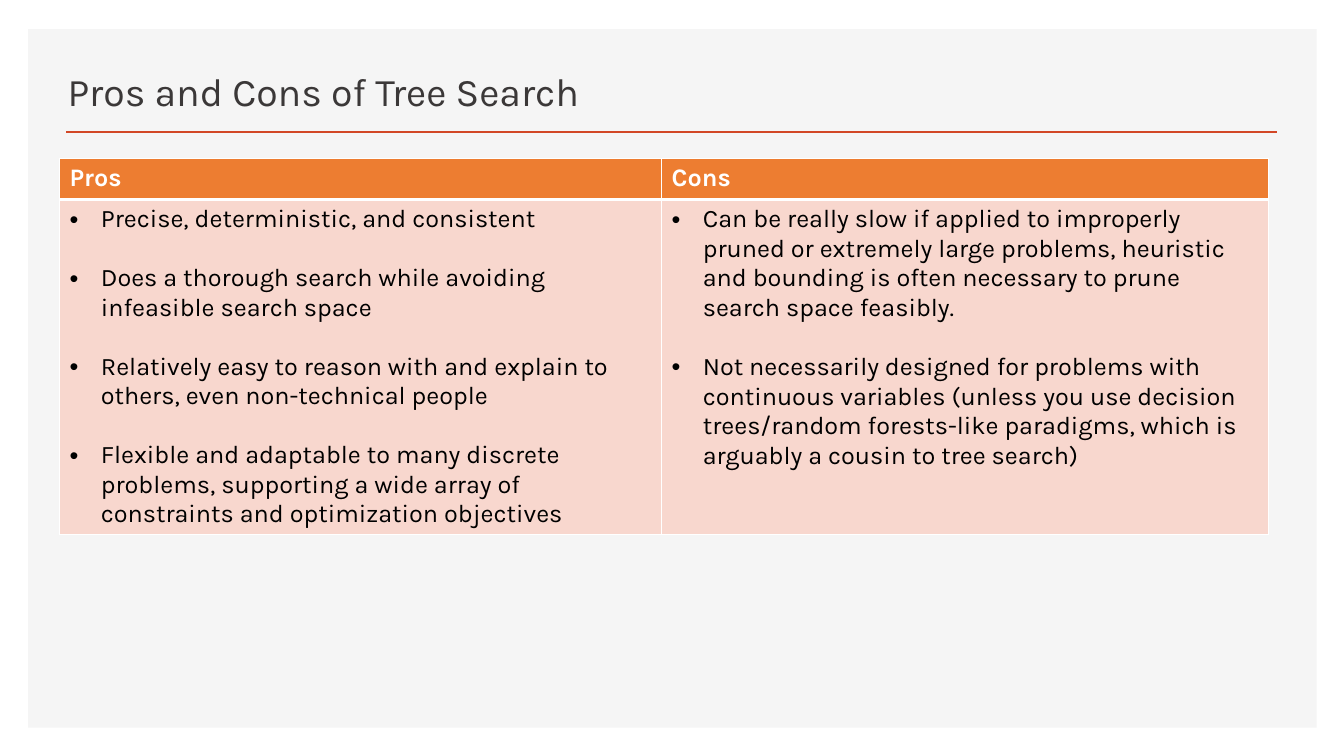
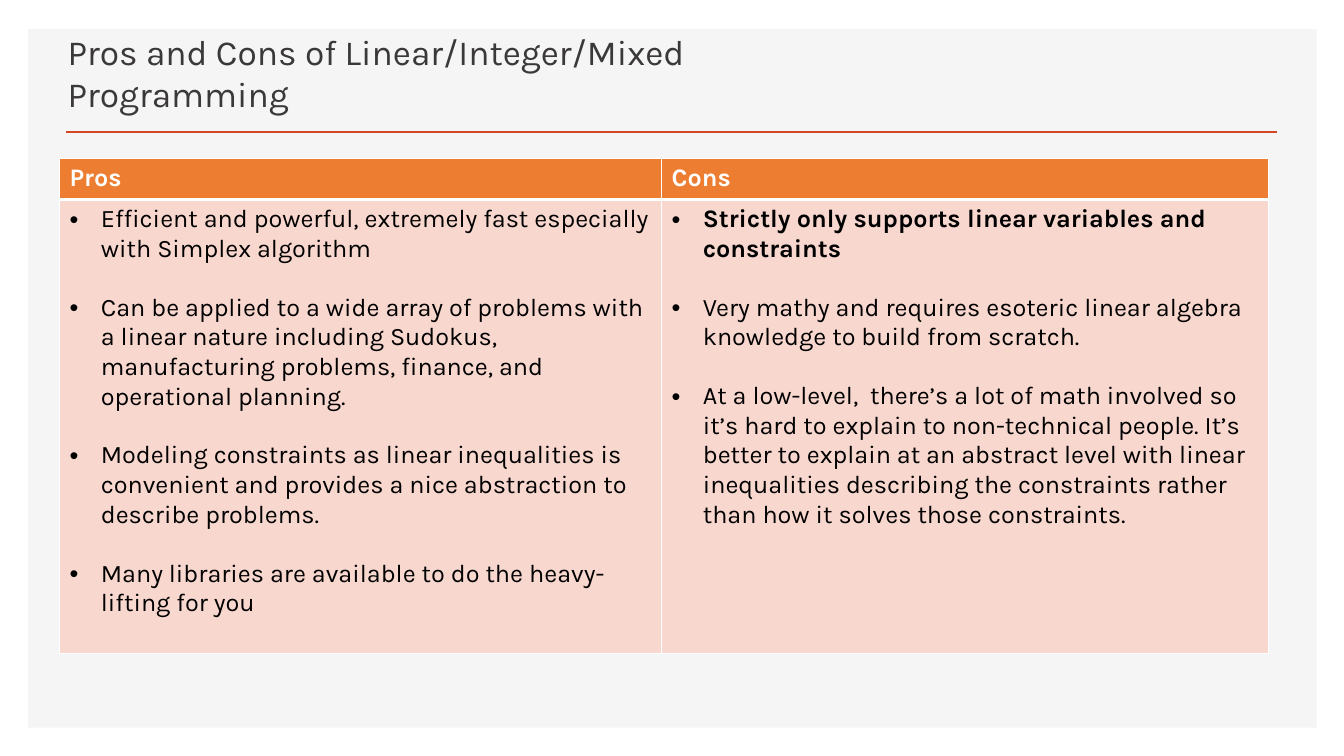
from dataclasses import dataclass

from lxml.etree import SubElement
from pptx import Presentation
from pptx.dml.color import RGBColor
from pptx.enum.shapes import MSO_CONNECTOR, MSO_SHAPE
from pptx.enum.text import MSO_ANCHOR, MSO_AUTO_SIZE, PP_ALIGN
from pptx.oxml.ns import qn
from pptx.util import Inches, Pt

# Shared look
WIDE, HIGH = Inches(13.33), Inches(7.5)
FACE = "Karla"
WHITE, BLACK, PANEL, RULE = "FFFFFF", "000000", "F5F5F5", "D24726"
INK, HEAD, BODY = "3B3838", "ED7D31", "F8D7CE"
SIZE, GAP = 18, 21
THIN, THICK = 1, 3
HANG = Inches(0.31)

# Table grid, in percent of the slide
LEFT, TOP = 4.43, 20.93
COLS = (44.79, 45.16)
HEADS = ("Pros", "Cons")
HEAD_ROW = 5.47


@dataclass
class Item:
    text: str
    bold: bool = False


@dataclass
class Page:
    title: str
    size: float
    width: float
    depth: float
    lists: tuple[list[Item], list[Item]]


PAGES = [
    Page("Pros and Cons of Tree Search", 28, 56.4, 44.27, (
        [
            Item("Precise, deterministic, and consistent"),
            Item("Does a thorough search while avoiding infeasible search space"),
            Item("Relatively easy to reason with and explain to others, "
                 "even non-technical people"),
            Item("Flexible and adaptable to many discrete problems, supporting "
                 "a wide array of constraints and optimization objectives"),
        ],
        [
            Item("Can be really slow if applied to improperly pruned or "
                 "extremely large problems, heuristic and bounding is often "
                 "necessary to prune search space feasibly."),
            Item("Not necessarily designed for problems with continuous "
                 "variables (unless you use decision trees/random forests-like "
                 "paradigms, which is arguably a cousin to tree search)"),
        ],
    )),
    Page("Pros and Cons of Linear/Integer/Mixed Programming", 25.2, 62.57, 60, (
        [
            Item("Efficient and powerful, extremely fast especially with "
                 "Simplex algorithm"),
            Item("Can be applied to a wide array of problems with a linear "
                 "nature including Sudokus, manufacturing problems, finance, "
                 "and operational planning."),
            Item("Modeling constraints as linear inequalities is convenient "
                 "and provides a nice abstraction to describe problems."),
            Item("Many libraries are available to do the heavy-lifting for you"),
        ],
        [
            Item("Strictly only supports linear variables and constraints", True),
            Item("Very mathy and requires esoteric linear algebra knowledge "
                 "to build from scratch."),
            Item("At a low-level,  there’s a lot of math involved so it’s hard "
                 "to explain to non-technical people. It’s better to explain at "
                 "an abstract level with linear inequalities describing the "
                 "constraints rather than how it solves those constraints."),
        ],
    )),
]


def tint(code: str) -> RGBColor:
    return RGBColor.from_string(code)


def across(share: float) -> int:
    return round(WIDE * share / 100)


def down(share: float) -> int:
    return round(HIGH * share / 100)


def style(para, size: float, code: str, bold: bool = False) -> None:
    for run in para.runs:
        font = run.font
        font.name, font.size, font.bold = FACE, Pt(size), bold
        font.color.rgb = tint(code)


def frame(slide) -> None:
    """Draw the panel behind the title and the rule below it."""
    panel = slide.shapes.add_shape(
        MSO_SHAPE.RECTANGLE, across(2.1), down(3.87), across(95.87), down(92.4))
    panel.shadow.inherit = False
    panel.fill.solid()
    panel.fill.fore_color.rgb = tint(PANEL)
    panel.line.fill.background()
    rule = slide.shapes.add_connector(
        MSO_CONNECTOR.STRAIGHT, across(4.95), down(17.47),
        across(95.05), down(17.47))
    rule.line.color.rgb = tint(RULE)
    rule.line.width = Pt(2)
    SubElement(rule.element.spPr, qn("a:effectLst"))
    for part in (panel, rule):
        slide.shapes.title.element.addprevious(part.element)


def head(slide, page: Page) -> None:
    title = slide.shapes.title
    title.left, title.top = across(4.28), down(6.53)
    title.width, title.height = across(page.width), down(9.33)
    box = title.text_frame
    box.text = page.title
    box.word_wrap = True
    box.auto_size = MSO_AUTO_SIZE.NONE
    box.vertical_anchor = MSO_ANCHOR.BOTTOM
    box.paragraphs[0].alignment = PP_ALIGN.LEFT
    style(box.paragraphs[0], page.size, INK)


def paint(cell, code: str, top: float, base: float) -> None:
    """Give a cell white edges and a plain fill."""
    props = cell._tc.get_or_add_tcPr()
    for side, width in (("L", THIN), ("R", THIN), ("T", top), ("B", base)):
        edge = SubElement(props, qn(f"a:ln{side}"), w=str(Pt(width)))
        fill = SubElement(edge, qn("a:solidFill"))
        SubElement(fill, qn("a:srgbClr"), val=WHITE)
    cell.fill.solid()
    cell.fill.fore_color.rgb = tint(code)


def bullet(para) -> None:
    props = para._p.get_or_add_pPr()
    props.set("marL", str(HANG))
    props.set("indent", str(-HANG))
    SubElement(props, qn("a:buFont"), typeface="Arial")
    SubElement(props, qn("a:buChar"), char="•")


def fill_list(cell, items: list[Item]) -> None:
    box = cell.text_frame
    for num, item in enumerate(items):
        para = box.add_paragraph() if num else box.paragraphs[0]
        para.text = item.text
        bullet(para)
        if num:
            para.space_before = Pt(GAP)
        style(para, SIZE, BLACK, item.bold)


def grid(slide, page: Page) -> None:
    rows = (HEAD_ROW, page.depth)
    table = slide.shapes.add_table(
        len(rows), len(COLS), across(LEFT), down(TOP),
        across(sum(COLS)), down(sum(rows))).table
    table.horz_banding = False
    for row, share in zip(table.rows, rows):
        row.height = down(share)
    for num, share in enumerate(COLS):
        table.columns[num].width = across(share)
        top, base = table.cell(0, num), table.cell(1, num)
        paint(top, HEAD, THIN, THICK)
        paint(base, BODY, THICK, THIN)
        top.text_frame.text = HEADS[num]
        style(top.text_frame.paragraphs[0], SIZE, WHITE, True)
        fill_list(base, page.lists[num])


def main() -> None:
    deck = Presentation()
    deck.slide_width, deck.slide_height = WIDE, HIGH
    for page in PAGES:
        slide = deck.slides.add_slide(deck.slide_layouts[5])
        frame(slide)
        head(slide, page)
        grid(slide, page)
    deck.save("out.pptx")


if __name__ == "__main__":
    main()
